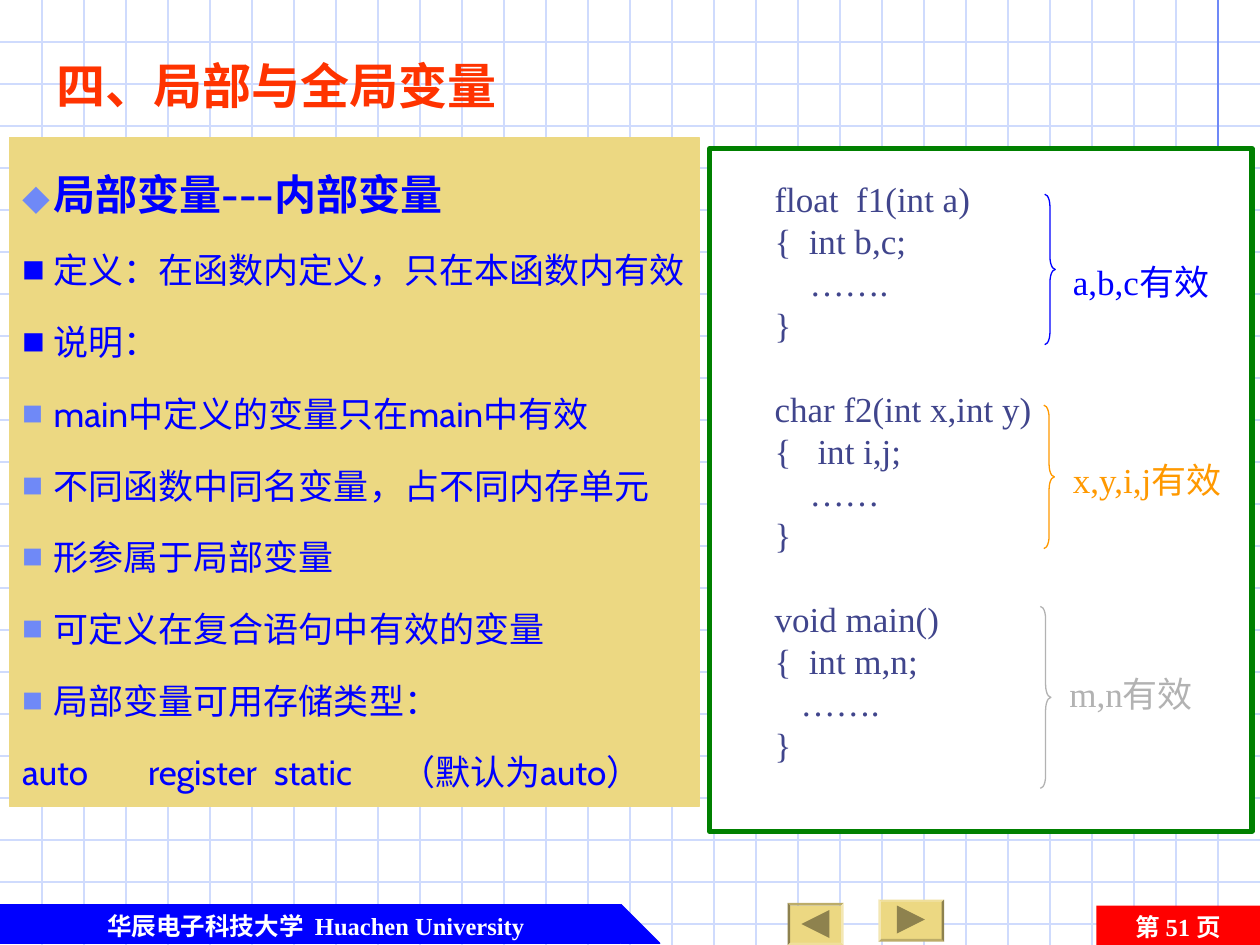
from lxml.etree import SubElement
from pptx import Presentation
from pptx.dml.color import RGBColor
from pptx.enum.shapes import MSO_CONNECTOR, MSO_SHAPE
from pptx.enum.text import MSO_ANCHOR, PP_ALIGN
from pptx.oxml.ns import qn
from pptx.util import Pt

WHITE = RGBColor(0xFF, 0xFF, 0xFF)
GRID = RGBColor(0xCF, 0xDB, 0xFD)
PERIWINKLE = RGBColor(0x6F, 0x89, 0xF7)
BLUE = RGBColor(0x00, 0x00, 0xFF)
RED = RGBColor(0xFF, 0x00, 0x00)
TITLE_RED = RGBColor(0xFF, 0x33, 0x00)
SAND = RGBColor(0xEC, 0xD8, 0x82)
DARK_SAND = RGBColor(0x8E, 0x82, 0x4E)
GREEN = RGBColor(0x00, 0x80, 0x00)
CODE_COLOR = RGBColor(0x40, 0x45, 0x8C)
ORANGE = RGBColor(0xFF, 0x99, 0x00)
GRAY = RGBColor(0xB2, 0xB2, 0xB2)

LATIN, CJK, BODY = "Times New Roman", "Noto Sans CJK SC", "Cabin"
WIDTH, HEIGHT, STEP = 720, 540, 24

NOTES = [
    ("局部变量---内部变量", "⬥", PERIWINKLE, 95),
    ("定义：在函数内定义，只在本函数内有效", "■", BLUE, 65),
    ("说明：", "■", BLUE, 65),
    ("main中定义的变量只在main中有效", "■", PERIWINKLE, 60),
    ("不同函数中同名变量，占不同内存单元", "■", PERIWINKLE, 60),
    ("形参属于局部变量", "■", PERIWINKLE, 60),
    ("可定义在复合语句中有效的变量", "■", PERIWINKLE, 60),
    ("局部变量可用存储类型：", "■", PERIWINKLE, 60),
    ("auto\tregister\tstatic\t（默认为auto）", None, None, None),
]
STORAGE_TABS = (60.5, 140.5, 212)
FUNCTIONS = [
    ("float  f1(int a)", "{  int b,c;", "…….", 20),
    ("char f2(int x,int y)", "{   int i,j;", "……", 20),
    ("void main()", "{  int m,n;", "…….", 15),
]
SCOPES = [
    ("a,b,c有效", BLUE, (597, 111, 6, 86), (606, 145.5)),
    ("x,y,i,j有效", ORANGE, (596.5, 231.5, 6, 82), (606, 258.5)),
    ("m,n有效", GRAY, (594.5, 346.5, 6, 104), (604, 380.5)),
]


def add_line(page, start, end, color):
    line = page.shapes.add_connector(MSO_CONNECTOR.STRAIGHT, *map(Pt, start + end))
    line.line.color.rgb = color
    line.line.width = Pt(0.75)
    SubElement(line._element.spPr, qn("a:effectLst"))


def add_shape(page, kind, area, fill=None, outline=None, weight=0.75):
    shape = page.shapes.add_shape(kind, *map(Pt, area))
    shape.shadow.inherit = False
    if fill is None:
        shape.fill.background()
    else:
        shape.fill.solid()
        shape.fill.fore_color.rgb = fill
    if outline is None:
        shape.line.fill.background()
    else:
        shape.line.color.rgb = outline
        shape.line.width = Pt(weight)
    return shape


def prepare_frame(shape):
    frame = shape.text_frame
    frame.word_wrap = True
    frame.vertical_anchor = MSO_ANCHOR.TOP
    return frame


def add_text_box(page, area):
    return prepare_frame(page.shapes.add_textbox(*map(Pt, area)))


def style(paragraph, size, color, font=LATIN, bold=False, spacing=1.2):
    paragraph.line_spacing = Pt(size * spacing)
    for span in paragraph.runs:
        span.font.size = Pt(size)
        span.font.bold = bold
        span.font.name = font
        span.font.color.rgb = color
        SubElement(span._r.get_or_add_rPr(), qn("a:ea"), typeface=CJK)


def write_lines(frame, lines):
    frame.text = "\n".join(lines)
    return frame.paragraphs


def set_indent(paragraph, left, first=0):
    properties = paragraph._p.get_or_add_pPr()
    properties.set("marL", str(Pt(left)))
    properties.set("indent", str(Pt(first)))
    return properties


def set_bullet(paragraph, symbol, color, percent):
    properties = set_indent(paragraph, 18, -18)
    holder = SubElement(properties, qn("a:buClr"))
    SubElement(holder, qn("a:srgbClr"), val=str(color))
    SubElement(properties, qn("a:buSzPct"), val=str(percent * 1000))
    SubElement(properties, qn("a:buFont"), typeface=CJK)
    SubElement(properties, qn("a:buChar"), char=symbol)


def set_tabs(paragraph, positions):
    tabs = SubElement(set_indent(paragraph, 0), qn("a:tabLst"))
    for position in positions:
        SubElement(tabs, qn("a:tab"), pos=str(Pt(position)), algn="l")


def add_grid(page):
    for y in range(STEP, HEIGHT, STEP):
        add_line(page, (0, y), (WIDTH, y), GRID)
    for x in range(STEP, WIDTH, STEP):
        add_line(page, (x, 0), (x, HEIGHT), GRID)
    add_line(page, (696, 0), (696, 186), PERIWINKLE)


def add_button(page, area, arrow_area, turn, arrow_turn):
    button = add_shape(page, MSO_SHAPE.BEVEL, area, SAND)
    button.adjustments[0] = 0.06
    button.rotation = turn
    arrow = add_shape(page, MSO_SHAPE.ISOSCELES_TRIANGLE, arrow_area, DARK_SAND)
    arrow.rotation = arrow_turn


def add_footer(page):
    add_shape(page, MSO_SHAPE.RECTANGLE, (0, 517, 354.5, 22), BLUE, BLUE)
    add_shape(page, MSO_SHAPE.RIGHT_TRIANGLE, (355, 517, 22, 22), BLUE, BLUE)
    school = add_text_box(page, (21, 517, 319, 24))
    number_box = add_shape(page, MSO_SHAPE.RECTANGLE, (626.5, 517.5, 93.5, 22.5), RED)
    number = prepare_frame(number_box)
    for frame, text in ((school, "华辰电子科技大学  Huachen University"), (number, "第 51 页")):
        paragraph = write_lines(frame, [text])[0]
        paragraph.alignment = PP_ALIGN.CENTER
        style(paragraph, 14, WHITE, bold=True)
    add_button(page, (502, 514, 37.5, 24), (512.5, 517.5, 16, 16), 0, 90)
    add_button(page, (450, 516, 32, 24), (458, 520, 16, 16), 180, 270)


def add_title(page):
    frame = add_text_box(page, (25, 28, 308, 41))
    style(write_lines(frame, ["四、局部与全局变量"])[0], 28, TITLE_RED, bold=True)


def add_notes(page):
    panel = add_shape(page, MSO_SHAPE.RECTANGLE, (5.5, 78.5, 394, 382.5), SAND, SAND)
    paragraphs = write_lines(prepare_frame(panel), [note[0] for note in NOTES])
    for index, (paragraph, note) in enumerate(zip(paragraphs, NOTES)):
        heading = index == 0
        paragraph.alignment = PP_ALIGN.LEFT
        paragraph.space_before = Pt(6 if heading else 5)
        style(paragraph, 24 if heading else 20, BLUE, BODY, heading, 1.8)
        if note[1]:
            set_bullet(paragraph, *note[1:])
        else:
            set_tabs(paragraph, STORAGE_TABS)


def add_code(page):
    add_shape(page, MSO_SHAPE.RECTANGLE, (405.5, 85, 310, 390), WHITE, GREEN, 3)
    frame = add_text_box(page, (435.5, 98, 162, 350))
    lines = [line for *head, dots, _ in FUNCTIONS for line in (*head, dots, "}")]
    paragraphs = write_lines(frame, lines)
    for paragraph in paragraphs:
        style(paragraph, 20, CODE_COLOR)
    for index, function in enumerate(FUNCTIONS):
        first = 4 * index
        paragraphs[first].space_before = Pt(24 if index else 0)
        set_indent(paragraphs[first + 2], function[-1])


def add_scope(page, text, color, brace_area, corner):
    brace = add_shape(page, MSO_SHAPE.RIGHT_BRACE, brace_area, outline=color)
    brace.adjustments[0] = 1.2
    frame = add_text_box(page, (*corner, 108, 31))
    style(write_lines(frame, [text])[0], 20, color)


def main():
    deck = Presentation()
    deck.slide_width, deck.slide_height = Pt(WIDTH), Pt(HEIGHT)
    page = deck.slides.add_slide(deck.slide_layouts[6])
    add_grid(page)
    add_footer(page)
    add_title(page)
    add_notes(page)
    add_code(page)
    for scope in SCOPES:
        add_scope(page, *scope)
    deck.save("out.pptx")


if __name__ == "__main__":
    main()
